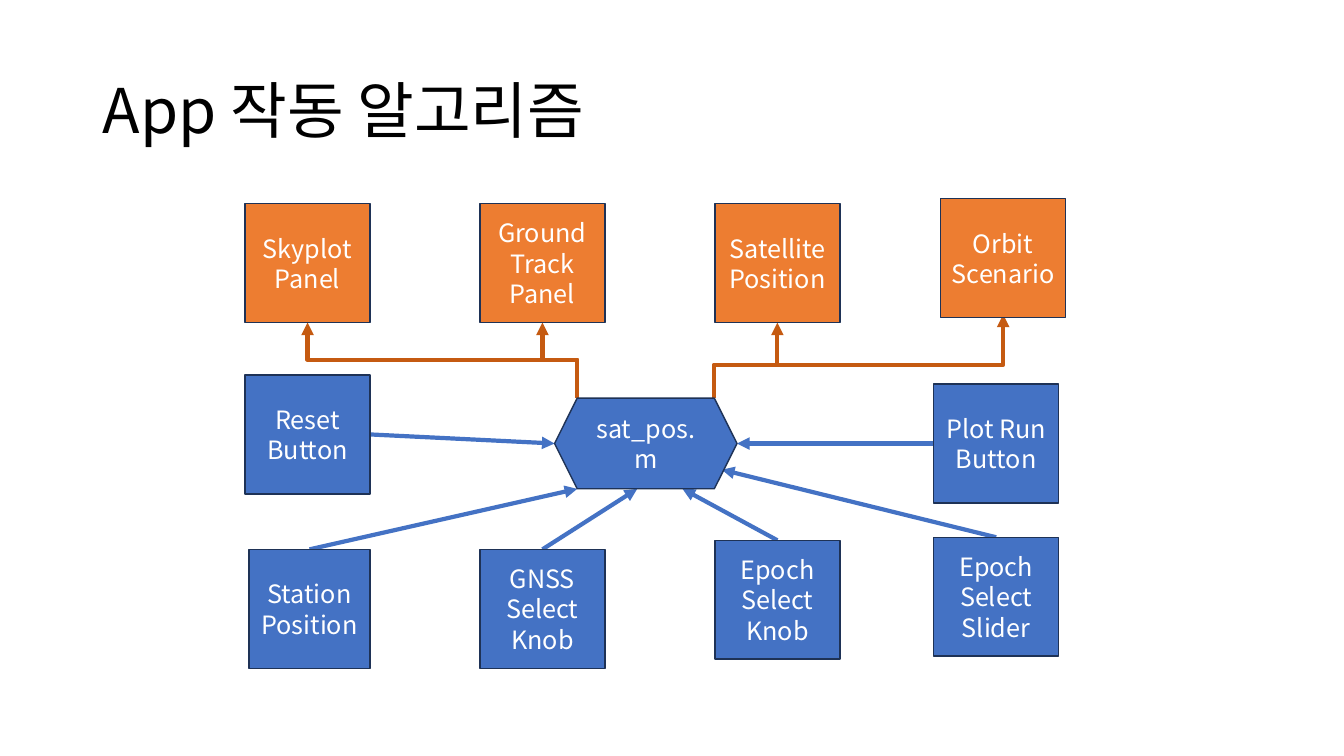
from lxml import etree
from pptx import Presentation
from pptx.dml.color import RGBColor
from pptx.enum.shapes import MSO_CONNECTOR, MSO_SHAPE
from pptx.enum.text import MSO_ANCHOR, PP_ALIGN
from pptx.oxml.ns import qn
from pptx.util import Inches, Pt

RECT, HEXAGON = MSO_SHAPE.RECTANGLE, MSO_SHAPE.HEXAGON
STRAIGHT, ELBOW = MSO_CONNECTOR.STRAIGHT, MSO_CONNECTOR.ELBOW
LEFT, CENTER, MIDDLE = PP_ALIGN.LEFT, PP_ALIGN.CENTER, MSO_ANCHOR.MIDDLE
FONT = "Noto Sans CJK KR"
BLUE, ORANGE, RUST, NAVY = "4472C4", "ED7D31", "C55A11", "1E3256"
WHITE, BLACK = "FFFFFF", "000000"

# Grid of boxes, in inches
COLUMNS = [2.43, 4.76, 7.09, 9.26]
ROWS = [2.02, 3.72, 5.45]
BOX_W, BOX_H = 1.24, 1.18

# Central function: the hexagon's corners follow from its box
HUB_X, HUB_Y, HUB_W, HUB_H = 5.5, 3.95, 1.81, 0.9
HUB_RIGHT, HUB_BOTTOM, HUB_MID = HUB_X + HUB_W, HUB_Y + HUB_H, HUB_Y + HUB_H / 2
CORNER_L, CORNER_R = HUB_X + HUB_H / 4, HUB_RIGHT - HUB_H / 4

prs = Presentation()
prs.slide_width, prs.slide_height = Inches(13.33), Inches(7.5)
slide = prs.slides.add_slide(prs.slide_layouts[6])
shapes = slide.shapes


def write(shape, text, size=18, color=WHITE, align=CENTER, spacing=1.0):
    frame = shape.text_frame
    frame.word_wrap, frame.vertical_anchor = True, MIDDLE
    paragraph = frame.paragraphs[0]
    paragraph.alignment, paragraph.line_spacing = align, spacing
    run = paragraph.add_run()
    run.text = text
    run.font.size, run.font.name = Pt(size), FONT
    run.font.color.rgb = RGBColor.from_string(color)
    etree.SubElement(run.font._element, qn("a:ea"), typeface=FONT)


def arrow(kind, start, end, color):
    link = shapes.add_connector(kind, *map(Inches, (*start, *end)))
    link.line.width = Pt(3)
    link.line.color.rgb = RGBColor.from_string(color)
    etree.SubElement(link.line._get_or_add_ln(), qn("a:tailEnd"), type="triangle")
    etree.SubElement(link._element.spPr, qn("a:effectLst"))
    return link


# Title
title = shapes.add_textbox(*map(Inches, (0.92, 0.4, 11.5, 1.45)))
write(title, "App 작동 알고리즘", size=44, color=BLACK, align=LEFT, spacing=0.9)

# Inputs to the function
inputs = [
    ((COLUMNS[0], ROWS[1] + BOX_H / 2), 1.24, (HUB_X, HUB_MID)),
    ((COLUMNS[3], HUB_MID), 0, (HUB_RIGHT, HUB_MID)),
    ((3.07, ROWS[2]), 0, (CORNER_L, HUB_BOTTOM)),
    ((COLUMNS[1] + BOX_W / 2, ROWS[2]), 0, (HUB_X + 0.82, HUB_BOTTOM)),
    ((COLUMNS[2] + BOX_W / 2, ROWS[2] - 0.09), 0, (HUB_RIGHT - 0.54, HUB_BOTTOM)),
    ((COLUMNS[3] + BOX_W / 2, ROWS[2] - 0.12), 0, (HUB_RIGHT - 0.15, 4.66)),
]
for (x, y), box_width, target in inputs:
    arrow(STRAIGHT, (x + box_width, y), target, BLUE)

# Outputs: up, across at the bend, up; a sideways elbow turned by 270 degrees
outputs = [
    (CORNER_L, HUB_Y, COLUMNS[0] + BOX_W / 2, 3.2, 3.57),
    (CORNER_L, HUB_Y, COLUMNS[1] + BOX_W / 2, 3.2, 3.57),
    (CORNER_R, HUB_Y, COLUMNS[2] + BOX_W / 2, 3.2, 3.62),
    (CORNER_R, HUB_Y - 0.03, 9.95, 3.12, 3.62),
]
for x1, y1, x2, y2, bend in outputs:
    rise, run = y1 - y2, x2 - x1
    mid_x, mid_y = (x1 + x2) / 2, (y1 + y2) / 2
    link = arrow(ELBOW, (mid_x - rise / 2, mid_y - run / 2),
                 (mid_x + rise / 2, mid_y + run / 2), RUST)
    properties = link._element.spPr
    properties.find(qn("a:xfrm")).set("rot", str(270 * 60000))
    share = round((y1 - bend) / rise * 100000)
    guides = properties.find(qn("a:prstGeom")).find(qn("a:avLst"))
    etree.SubElement(guides, qn("a:gd"), name="adj1", fmla=f"val {share}")

# Boxes: text, column, row, fill, offset from the grid
boxes = [
    ("Skyplot Panel", 0, 0, ORANGE, 0, 0),
    ("Ground Track Panel", 1, 0, ORANGE, 0, 0),
    ("Satellite Position", 2, 0, ORANGE, 0, 0),
    ("Orbit Scenario", 3, 0, ORANGE, 0.07, -0.05),
    ("Reset Button", 0, 1, BLUE, 0, 0),
    ("Plot Run Button", 3, 1, BLUE, 0, 0.09),
    ("Station Position", 0, 2, BLUE, 0.04, 0),
    ("GNSS Select Knob", 1, 2, BLUE, 0, 0),
    ("Epoch Select Knob", 2, 2, BLUE, 0, -0.09),
    ("Epoch Select Slider", 3, 2, BLUE, 0, -0.12),
]
nodes = [(text, RECT, fill, COLUMNS[col] + dx, ROWS[row] + dy,
          BOX_W - (dx if col == 0 else 0), BOX_H)
         for text, col, row, fill, dx, dy in boxes]
nodes.append(("sat_pos.m", HEXAGON, BLUE, HUB_X, HUB_Y, HUB_W, HUB_H))
for text, kind, fill, *place in nodes:
    node = shapes.add_shape(kind, *map(Inches, place))
    node.shadow.inherit = False
    node.fill.solid()
    node.fill.fore_color.rgb = RGBColor.from_string(fill)
    node.line.color.rgb = RGBColor.from_string(NAVY)
    node.line.width = Pt(1)
    write(node, text)

prs.save("out.pptx")
